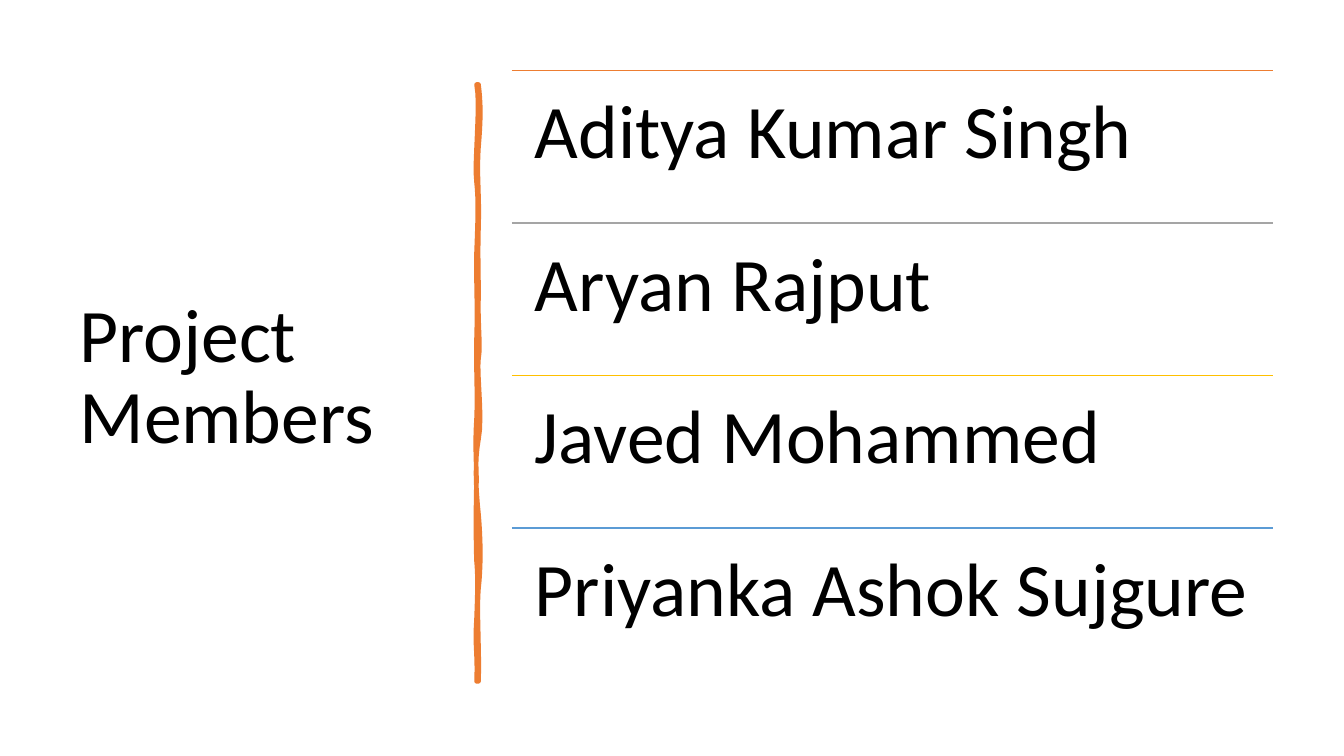
from dataclasses import dataclass

from lxml import etree
from pptx import Presentation
from pptx.dml.color import RGBColor
from pptx.enum.shapes import MSO_CONNECTOR
from pptx.enum.text import MSO_ANCHOR, MSO_AUTO_SIZE, PP_ALIGN
from pptx.oxml.ns import qn
from pptx.util import Cm, Pt

STRAIGHT = MSO_CONNECTOR.STRAIGHT
MIDDLE, TOP = MSO_ANCHOR.MIDDLE, MSO_ANCHOR.TOP
NO_AUTOFIT = MSO_AUTO_SIZE.NONE
LEFT = PP_ALIGN.LEFT

TITLE_ONLY = 5
ORANGE = "ED7D31"
ROWS_LEFT, ROWS_TOP = 12.9, 1.78
ROW_WIDTH, ROW_HEIGHT = 19.18, 3.84
ROW_INSET = 0.58
RIGHT_EDGE, LEFT_EDGE = 12.06, 12.01
BAR_TOP, BAR_BOTTOM = 2.13, 17.17
STEPS = 8


@dataclass(frozen=True)
class Member:
    name: str
    rule_color: str


@dataclass(frozen=True)
class Bend:
    x1: float
    y1: float
    x2: float
    y2: float
    end_y: float


MEMBERS = [
    Member("Aditya Kumar Singh", ORANGE),
    Member("Aryan Rajput", "A5A5A5"),
    Member("Javed Mohammed", "FFC000"),
    Member("Priyanka Ashok Sujgure", "5B9BD5"),
]

DOWN_RIGHT = [
    Bend(12.12, 2.59, 12.12, 3.02, 3.71),
    Bend(12.01, 4.39, 12.09, 4.95, 5.74),
    Bend(12.04, 6.53, 12.06, 6.65, 7.47),
    Bend(12.04, 8.26, 12.12, 8.69, 9.04),
    Bend(12.01, 9.4, 12.17, 10.52, 11.07),
    Bend(11.96, 11.61, 11.99, 12.29, 12.95),
    Bend(12.12, 13.61, 12.12, 14.33, 14.83),
    Bend(12.01, 15.32, 12.09, 16.51, BAR_BOTTOM),
]

UP_LEFT = [
    Bend(12.04, 16.41, 11.96, 16.36, 15.57),
    Bend(12.04, 14.81, 12.04, 14.48, 14.15),
    Bend(11.99, 13.82, 11.99, 12.57, 12.12),
    Bend(12.01, 11.66, 11.96, 11.3, 10.54),
    Bend(12.04, 9.8, 11.99, 9.47, 8.51),
    Bend(12.04, 7.57, 11.99, 7.14, 6.35),
    Bend(12.04, 5.54, 12.06, 5.08, 4.6),
    Bend(11.94, 4.14, 12.12, 2.64, BAR_TOP),
]


def color(hex_code: str) -> RGBColor:
    return RGBColor.from_string(hex_code)


def write(frame, text: str, anchor) -> None:
    frame.word_wrap = True
    frame.auto_size = NO_AUTOFIT
    frame.vertical_anchor = anchor
    paragraph = frame.paragraphs[0]
    paragraph.text = text
    paragraph.alignment = LEFT
    paragraph.line_spacing = 0.9
    paragraph.font.name = "Calibri"
    paragraph.font.size = Pt(54)
    paragraph.font.color.rgb = color("000000")


def trace_edge(x: float, start_y: float, bends: list[Bend]) -> list[tuple[int, int]]:
    points = [(Cm(x), Cm(start_y))]
    for bend in bends:
        for step in range(1, STEPS + 1):
            t = step / STEPS
            u = 1 - t
            weights = (u**3, 3 * u * u * t, 3 * u * t * t, t**3)
            xs = (x, bend.x1, bend.x2, x)
            ys = (start_y, bend.y1, bend.y2, bend.end_y)
            points.append(tuple(
                Cm(sum(w * v for w, v in zip(weights, values))) for values in (xs, ys)
            ))
        start_y = bend.end_y
    return points


def draw_divider(slide) -> None:
    outline = trace_edge(RIGHT_EDGE, BAR_TOP, DOWN_RIGHT)
    outline += trace_edge(LEFT_EDGE, BAR_BOTTOM, UP_LEFT)
    builder = slide.shapes.build_freeform(*outline[0])
    builder.add_line_segments(outline[1:], close=True)
    divider = builder.convert_to_shape()
    divider.shadow.inherit = False
    divider.fill.solid()
    divider.fill.fore_color.rgb = color(ORANGE)
    divider.line.color.rgb = color(ORANGE)
    divider.line.width = Pt(3.25)


def draw_member(slide, member: Member, top: float) -> None:
    rule = slide.shapes.add_connector(
        STRAIGHT, Cm(ROWS_LEFT), Cm(top), Cm(ROWS_LEFT + ROW_WIDTH), Cm(top)
    )
    rule.line.color.rgb = color(member.rule_color)
    rule.line.width = Pt(1)
    etree.SubElement(rule._element.spPr, qn("a:effectLst"))

    row = slide.shapes.add_textbox(
        Cm(ROWS_LEFT), Cm(top), Cm(ROW_WIDTH), Cm(ROW_HEIGHT)
    )
    frame = row.text_frame
    frame.margin_left = frame.margin_right = Cm(ROW_INSET)
    frame.margin_top = frame.margin_bottom = Cm(ROW_INSET)
    write(frame, member.name, TOP)


def main() -> None:
    deck = Presentation()
    deck.slide_width, deck.slide_height = Cm(33.87), Cm(19.05)
    slide = deck.slides.add_slide(deck.slide_layouts[TITLE_ONLY])

    heading = slide.shapes.title
    heading.left, heading.top = Cm(1.75), Cm(1.78)
    heading.width, heading.height = Cm(9.5), Cm(15.52)
    write(heading.text_frame, "Project Members", MIDDLE)

    draw_divider(slide)
    for index, member in enumerate(MEMBERS):
        draw_member(slide, member, ROWS_TOP + index * ROW_HEIGHT)

    deck.save("out.pptx")


if __name__ == "__main__":
    main()
